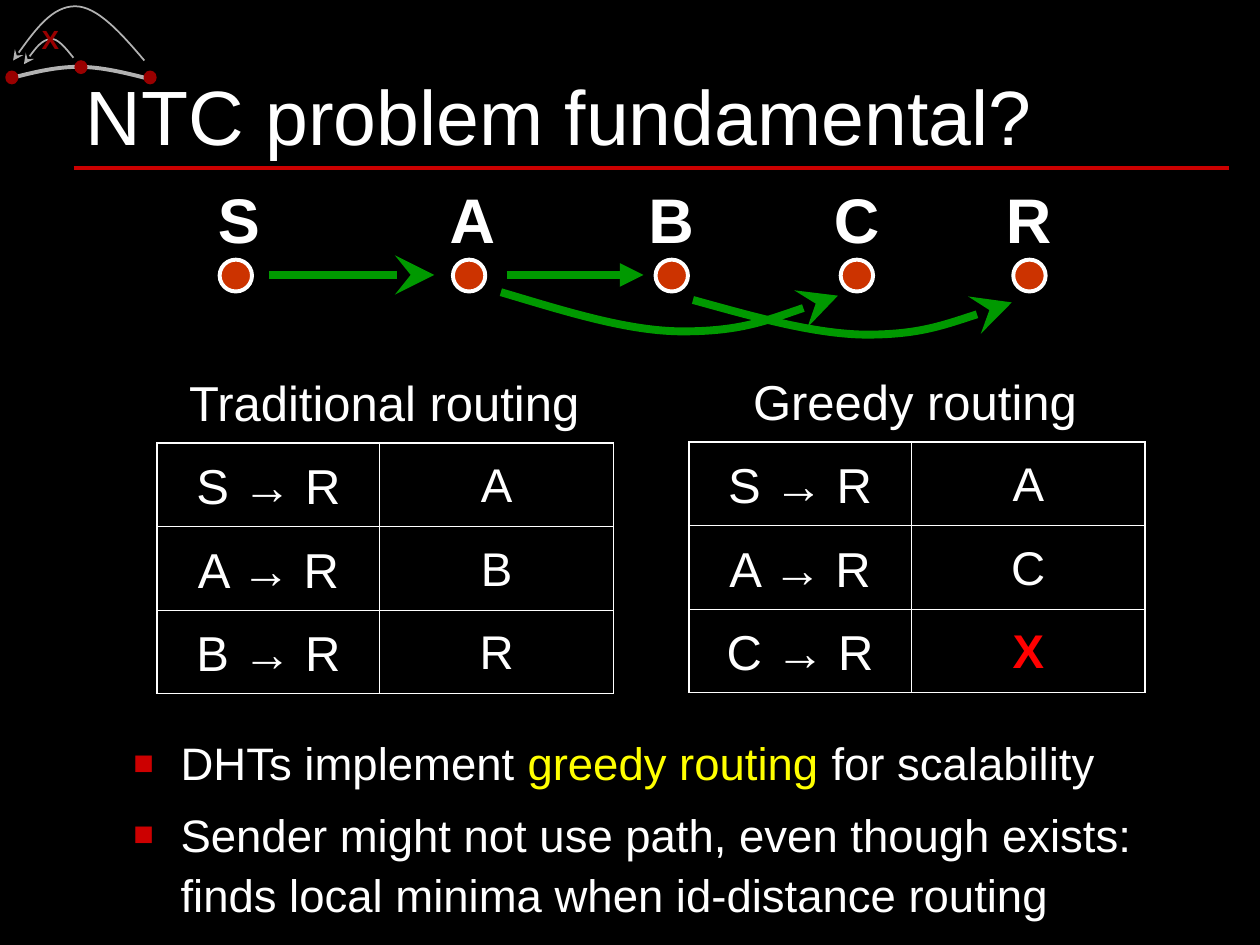
"""Builds a slide that compares traditional and greedy routing."""
import pptx
import pptx.dml.color
import pptx.enum.shapes
import pptx.enum.text
import pptx.oxml.ns
import pptx.util
from lxml import etree

Pt = pptx.util.Pt
qn = pptx.oxml.ns.qn
ALIGN = pptx.enum.text.PP_ALIGN
ANCHOR = pptx.enum.text.MSO_ANCHOR
SHAPE = pptx.enum.shapes.MSO_SHAPE
WHITE, GREEN, GREY, DARK_RED, RED = "FFFFFF", "009900", "B2B2B2", "990000", "CC0000"


def rgb(color):
    return pptx.dml.color.RGBColor.from_string(color)


class Deck:
    font = "Arial"

    def __init__(self, width, height, background):
        self.prs = pptx.Presentation()
        self.prs.slide_width, self.prs.slide_height = Pt(width), Pt(height)
        self.s = self.prs.slides.add_slide(self.prs.slide_layouts[5])
        self.s.background.fill.solid()
        self.s.background.fill.fore_color.rgb = rgb(background)

    def style(self, p, size, color=WHITE, bold=False, align=ALIGN.CENTER, spacing=1.0, before=0):
        f = p.font
        f.name, f.size, f.bold, f.color.rgb = self.font, Pt(size), bold, rgb(color)
        p.alignment, p.line_spacing, p.space_before = align, spacing, Pt(before)

    def title(self, text, x, y, w, h):
        sp = self.s.shapes.title
        sp.left, sp.top, sp.width, sp.height = Pt(x), Pt(y), Pt(w), Pt(h)
        tf = sp.text_frame
        tf.text = text
        tf.auto_size = pptx.enum.text.MSO_AUTO_SIZE.NONE
        tf.vertical_anchor = ANCHOR.BOTTOM
        self.style(tf.paragraphs[0], 44, align=ALIGN.LEFT, spacing=0.8)

    def text(self, text, x, y, w, h, size, wrap=False, **style):
        tf = self.s.shapes.add_textbox(Pt(x), Pt(y), Pt(w), Pt(h)).text_frame
        tf.word_wrap = wrap
        tf.text = text
        self.style(tf.paragraphs[0], size, **style)

    def bullets(self, items, x, y, w, h, size):
        tf = self.s.shapes.add_textbox(Pt(x), Pt(y), Pt(w), Pt(h)).text_frame
        tf.word_wrap = True
        for i, (spacing, runs) in enumerate(items):
            p = tf.add_paragraph() if i else tf.paragraphs[0]
            self.style(p, size, align=ALIGN.LEFT, spacing=spacing, before=6.5)
            for text, color in runs:
                r = p.add_run()
                r.text = text
                r.font.color.rgb = rgb(color)
            pPr = p._p.get_or_add_pPr()
            pPr.set("marL", str(Pt(27)))
            pPr.set("indent", str(-Pt(27)))
            marks = [etree.Element(qn("a:buClr")), etree.Element(qn("a:buSzPct"), val="75000"),
                     etree.Element(qn("a:buFont"), typeface=self.font),
                     etree.Element(qn("a:buChar"), char="■")]
            etree.SubElement(marks[0], qn("a:srgbClr"), val=RED)
            for mark in marks:
                pPr.find(qn("a:defRPr")).addprevious(mark)

    def dot(self, x, y, w, h, fill, line_width=0):
        sp = self.s.shapes.add_shape(SHAPE.OVAL, Pt(x), Pt(y), Pt(w), Pt(h))
        sp.shadow.inherit = False
        sp.fill.solid()
        sp.fill.fore_color.rgb = rgb(fill)
        if line_width:
            sp.line.color.rgb, sp.line.width = rgb(WHITE), Pt(line_width)
        else:
            sp.line.fill.background()

    def stroke(self, sp, color, width, head, head_size):
        sp.line.color.rgb, sp.line.width = rgb(color), Pt(width)
        if head:
            etree.SubElement(sp.line._get_or_add_ln(), qn("a:tailEnd"),
                             type=head, w=head_size, len=head_size)

    def line(self, x1, x2, y, color, width, head=None, head_size="med"):
        sp = self.s.shapes.add_connector(pptx.enum.shapes.MSO_CONNECTOR.STRAIGHT,
                                         Pt(x1), Pt(y), Pt(x2), Pt(y))
        self.stroke(sp, color, width, head, head_size)
        etree.SubElement(sp._element.spPr, qn("a:effectLst"))

    def curve(self, points, color, width, head=None, head_size="med"):
        start, *rest = [(Pt(x), Pt(y)) for x, y in points]
        builder = self.s.shapes.build_freeform(*start)
        builder.add_line_segments(rest, close=False)
        sp = builder.convert_to_shape()
        segments = list(sp._element.iter(qn("a:lnTo")))
        for i in range(0, len(segments), 3):
            bezier = etree.Element(qn("a:cubicBezTo"))
            segments[i].addprevious(bezier)
            for segment in segments[i:i + 3]:
                bezier.append(segment[0])
                segment.getparent().remove(segment)
        sp.shadow.inherit = False
        sp.fill.background()
        self.stroke(sp, color, width, head, head_size)

    def table(self, rows, x, y, widths, row_height):
        shape = self.s.shapes.add_table(len(rows), len(widths), Pt(x), Pt(y),
                                        Pt(sum(widths)), Pt(row_height * len(rows)))
        table = shape.table
        table.first_row = table.horz_banding = False
        for column, width in zip(table.columns, widths):
            column.width = Pt(width)
        for i, row in enumerate(rows):
            for j, text in enumerate(row):
                cell = table.cell(i, j)
                cell.text = text
                failed = text == "X"
                self.style(cell.text_frame.paragraphs[0], 27 if j else 28,
                           "FF0000" if failed else WHITE, failed, spacing=1.2,
                           before=6.8 if j else 7)
                outer = {"L": j == 0, "R": j == len(row) - 1,
                         "T": i == 0, "B": i == len(rows) - 1}
                self.borders(cell, outer)
                cell.fill.background()

    def borders(self, cell, outer):
        tcPr = cell._tc.get_or_add_tcPr()
        for side, is_outer in outer.items():
            ln = etree.SubElement(tcPr, qn("a:ln" + side), w=str(Pt(1.08 if is_outer else 0.45)))
            etree.SubElement(etree.SubElement(ln, qn("a:solidFill")), qn("a:srgbClr"), val=WHITE)


def main():
    d = Deck(720, 540, "000000")
    d.line(42.1, 702, 96, RED, 2)
    d.curve(((5, 45), (18, 41.6), (31.5, 38.2), (44.8, 38.2),
             (58, 38.2), (71.5, 41.6), (85, 45)), GREY, 2.25)
    for x, y in ((3, 40.3), (82, 40.3), (42.5, 34.4)):
        d.dot(x, y, 7.5, 7.9, DARK_RED)
    d.curve(((82.5, 34.6), (69, 18.7), (55.5, 3.6), (43, 3.6),
             (30.2, 3.6), (18.7, 18.7), (7.5, 34.6)), GREY, 1, "stealth")
    d.curve(((42, 33), (37.5, 27.4), (33, 21.6), (28.8, 22.3),
             (23.8, 23), (18.7, 29.5), (13.7, 36.7)), GREY, 1, "stealth")
    d.text("X", 16.5, 9.7, 24.5, 25, 15, color=DARK_RED, bold=True)
    d.title("NTC problem fundamental?", 41.8, 5.4, 660, 90)

    nodes = (("S", 125.5, 116.4), ("A", 258.8, 249.8), ("B", 374.6, 363.3),
             ("C", 480.4, 469.4), ("R", 579, 567.6))
    for name, dot_x, label_x in nodes:
        d.dot(dot_x, 148.4, 18.5, 18.2, "CC3300", 2.25)
        d.text(name, label_x, 99.4, 40.3, 50.4, 36, bold=True)
    d.line(154, 248.2, 157.1, GREEN, 4.5, "stealth", "lg")
    d.line(289.5, 367.7, 157.1, GREEN, 4.5, "triangle")
    d.curve(((396, 171.4), (429.8, 180.7), (464.4, 190.8), (494.6, 191.2),
             (524.9, 191.2), (551.5, 182.2), (578.2, 172.8)), GREEN, 4.5, "stealth", "lg")
    d.curve(((286.2, 167), (322.6, 177.8), (358.6, 189.4), (390.2, 189.4),
             (422.6, 189.4), (450.7, 179.3), (478.8, 169)), GREEN, 4.5, "stealth", "lg")

    routings = (("Traditional routing", 91.4, 199.2, 89.8, 253.2,
                 (("S → R", "A"), ("A → R", "B"), ("B → R", "R"))),
                ("Greedy routing", 394.7, 198.7, 393.6, 252.7,
                 (("S → R", "A"), ("A → R", "C"), ("C → R", "X"))))
    for heading, heading_x, heading_y, table_x, table_y, rows in routings:
        d.text(heading, heading_x, heading_y, 256.3, 62, 28, wrap=True, spacing=1.3, before=7)
        d.table(rows, table_x, table_y, (127.2, 133.6), 47.7)

    d.bullets(((1.3, (("DHTs implement ", WHITE), ("greedy routing ", "FFFF00"),
                      ("for scalability", WHITE))),
               (1.1, (("Sender might not use path, even though exists: "
                       "finds local minima when id-distance routing", WHITE),))),
              69.1, 407.3, 620.6, 126.7, 26)
    d.prs.save("out.pptx")


if __name__ == "__main__":
    main()
